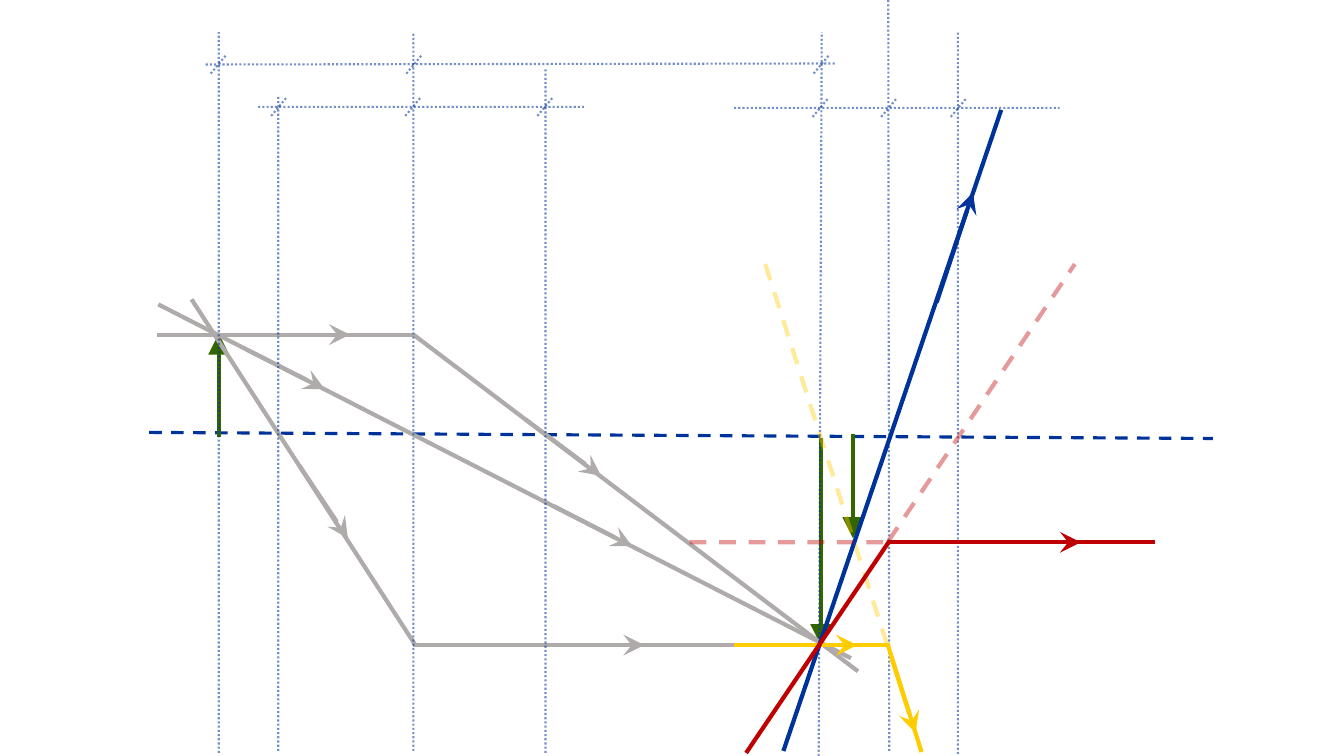
from lxml.etree import SubElement
from pptx import Presentation
from pptx.dml.color import RGBColor
from pptx.enum.dml import MSO_LINE
from pptx.enum.shapes import MSO_CONNECTOR
from pptx.oxml.ns import qn
from pptx.util import Pt

EMU_PER_PX = 9144
BLUE = RGBColor(0x00, 0x33, 0x99)
GREEN = RGBColor(0x33, 0x66, 0x00)
GREY = RGBColor(0xAF, 0xAB, 0xAB)
YELLOW = RGBColor(0xFF, 0xCC, 0x00)
RED = RGBColor(0xC0, 0x00, 0x00)


class LensDiagram:
    ray_format = {"width": Pt(3)}
    virtual_format = {"width": Pt(3), "dash_style": MSO_LINE.DASH}
    axis_format = {"width": Pt(2.25), "dash_style": MSO_LINE.DASH}
    guide_format = {"width": Pt(1.5), "dash_style": MSO_LINE.ROUND_DOT}

    def __init__(self, slide):
        self.slide = slide

    def stroke(self, ends, color, line_format, opacity=100, head=None):
        connector = self.slide.shapes.add_connector(
            MSO_CONNECTOR.STRAIGHT, *(px * EMU_PER_PX for px in ends)
        )
        line = connector.line
        line.color.rgb = color
        for attribute, value in line_format.items():
            setattr(line, attribute, value)
        properties = connector._element.spPr
        outline = properties.find(qn("a:ln"))
        if opacity < 100:
            tint = outline.find(qn("a:solidFill")).find(qn("a:srgbClr"))
            SubElement(tint, qn("a:alpha"), val=str(opacity * 1000))
        if head:
            SubElement(outline, qn("a:tailEnd"), type=head, w="lg", len="lg")
        SubElement(properties, qn("a:effectLst"))

    def axis(self, *ends):
        self.stroke(ends, BLUE, self.axis_format)

    def object_arrow(self, x, base, tip):
        self.stroke((x, base, x, tip), GREEN, self.ray_format, head="triangle")

    def ray(self, color, *ends):
        self.stroke(ends, color, self.ray_format)

    def ray_arrow(self, color, *ends):
        self.stroke(ends, color, self.ray_format, head="stealth")

    def virtual_ray(self, color, *ends):
        self.stroke(ends, color, self.virtual_format, opacity=40)

    def guide(self, *ends):
        self.stroke(ends, BLUE, self.guide_format, opacity=55)

    def dimension(self, ends, y, tick_centres):
        self.guide(*ends)
        for x in tick_centres:
            self.guide(x - 7, y + 9, x + 8, y - 9)


def draw_objective(diagram):
    diagram.axis(148, 429, 1203, 435)
    diagram.object_arrow(217, 434, 331)
    diagram.object_arrow(814, 435, 640)
    for ends in (
        (157, 302, 844, 653),
        (156, 332, 410, 332),
        (410, 332, 851, 666),
        (410, 640, 844, 640),
        (190, 297, 412, 640),
    ):
        diagram.ray(GREY, *ends)
    for ends in (
        (245, 347, 322, 386),
        (549, 502, 627, 542),
        (256, 332, 347, 332),
        (548, 640, 639, 640),
        (297, 462, 345, 534),
        (521, 416, 596, 472),
    ):
        diagram.ray_arrow(GREY, *ends)


def draw_dimensions(diagram):
    for bottom_x, bottom, top_x, top in (
        (217, 747, 217, 32),
        (276, 745, 276, 96),
        (410, 745, 410, 32),
        (541, 747, 541, 67),
        (812, 750, 815, 32),
        (882, 745, 881, 0),
        (950, 748, 950, 31),
    ):
        diagram.guide(bottom_x, bottom, top_x, top)
    diagram.dimension((204, 64, 828, 63), 64, (216, 410, 814))
    diagram.dimension((256, 106, 579, 106), 106, (276, 409, 540))
    diagram.dimension((728, 107, 1051, 107), 107, (813, 881, 950))


def draw_eyepiece(diagram):
    diagram.object_arrow(846, 431, 534)

    diagram.ray(YELLOW, 728, 640, 881, 640)
    diagram.virtual_ray(YELLOW, 759, 262, 880, 640)
    diagram.ray(YELLOW, 880, 638, 914, 746)
    diagram.ray_arrow(YELLOW, 759, 640, 850, 640)
    diagram.ray_arrow(YELLOW, 884, 652, 908, 727)

    diagram.ray(BLUE, 777, 745, 993, 109)
    diagram.ray_arrow(BLUE, 929, 300, 965, 191)

    diagram.ray(RED, 740, 747, 882, 537)
    diagram.virtual_ray(RED, 881, 537, 1066, 262)
    diagram.ray(RED, 881, 538, 1146, 538)
    diagram.virtual_ray(RED, 684, 538, 880, 538)
    diagram.ray_arrow(RED, 990, 538, 1072, 538)


def main():
    deck = Presentation()
    deck.slide_width = 1333 * EMU_PER_PX
    deck.slide_height = 750 * EMU_PER_PX
    diagram = LensDiagram(deck.slides.add_slide(deck.slide_layouts[6]))
    draw_objective(diagram)
    draw_dimensions(diagram)
    draw_eyepiece(diagram)
    deck.save("out.pptx")


if __name__ == "__main__":
    main()
